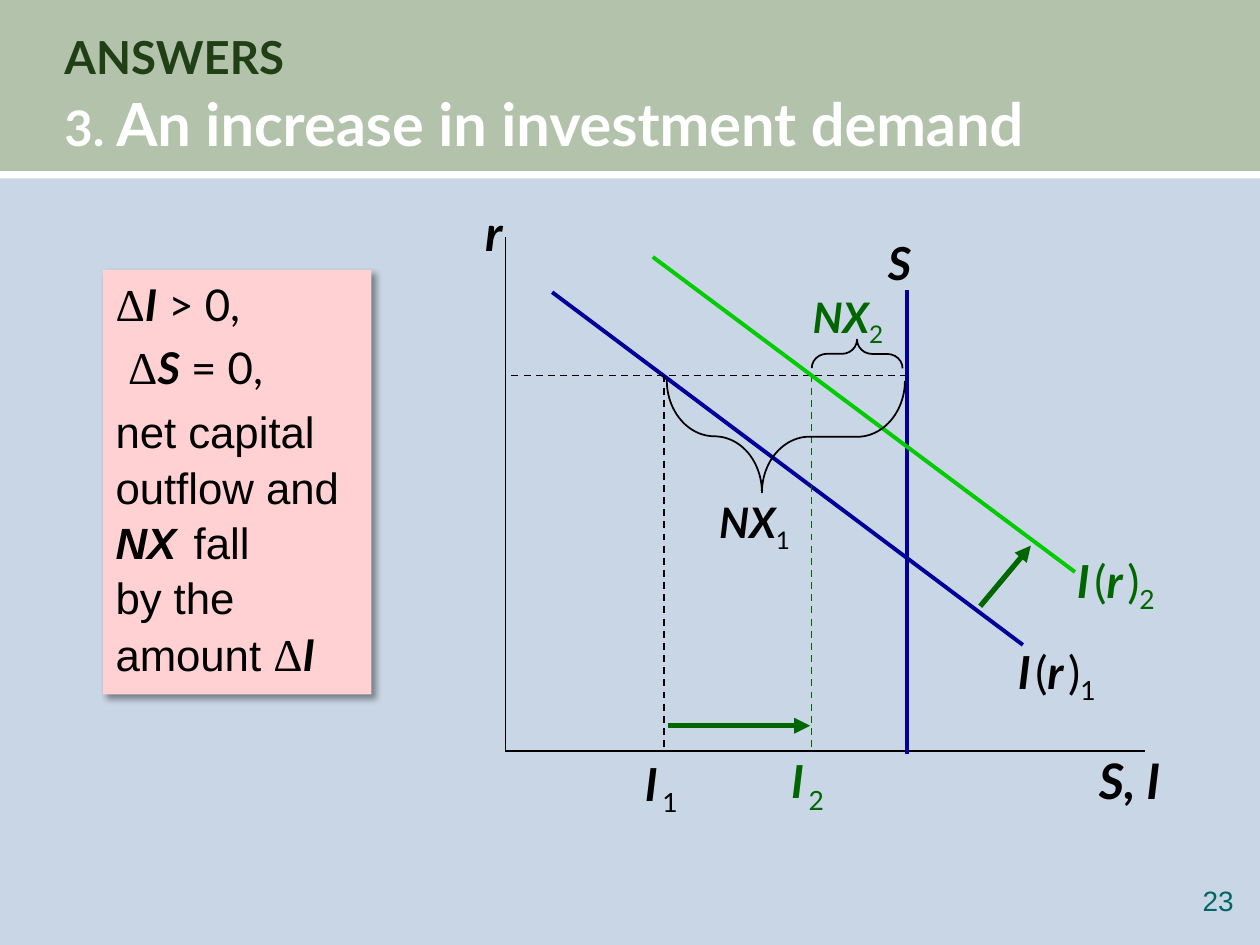
from lxml import etree
from pptx import Presentation
from pptx.dml.color import RGBColor
from pptx.enum.dml import MSO_LINE
from pptx.enum.shapes import MSO_CONNECTOR, MSO_SHAPE
from pptx.enum.text import MSO_ANCHOR, PP_ALIGN
from pptx.oxml import parse_xml
from pptx.oxml.ns import nsdecls, qn
from pptx.util import Cm, Pt

BLACK, WHITE, NAVY, GREEN, LIME = "000000", "FFFFFF", "000099", "006600", "00CC00"
rgb = RGBColor.from_string


def add_runs(p, runs, color=BLACK):
    """Each run is (text, size, style, font); style letters: b, i, s (subscript)."""
    for text, size, style, font in runs:
        if text == "\n":
            p.add_line_break()
            continue
        r = p.add_run()
        r.text = text
        r.font.size, r.font.name = Pt(size), font
        r.font.bold, r.font.italic = "b" in style, "i" in style
        r.font.color.rgb = rgb(color)
        if "s" in style:
            r.font._element.set("baseline", "-25000")


def add_text(x, y, w, h, runs, color=BLACK, align=PP_ALIGN.LEFT, insets=(0.25, 0.13, 0.25, 0.13)):
    tf = s.shapes.add_textbox(Cm(x), Cm(y), Cm(w), Cm(h)).text_frame
    tf.word_wrap = True
    tf.margin_left, tf.margin_top, tf.margin_right, tf.margin_bottom = map(Cm, insets)
    tf.paragraphs[0].alignment = align
    add_runs(tf.paragraphs[0], runs, color)
    return tf


prs = Presentation()
prs.slide_width, prs.slide_height = Cm(25.4), Cm(19.05)
s = prs.slides.add_slide(prs.slide_layouts[6])
s.background.fill.solid()
s.background.fill.fore_color.rgb = rgb("C9D6E5")

# Header band, white rule and pink answer box
boxes = []
for x, y, w, h, color in [(0, 0, 25.4, 3.55, "B3C2AA"), (0, 3.45, 25.4, 0.15, WHITE),
                          (2.08, 5.44, 5.41, 8.56, "FFD1D2")]:
    sp = s.shapes.add_shape(MSO_SHAPE.RECTANGLE, Cm(x), Cm(y), Cm(w), Cm(h))
    sp.shadow.inherit = False
    sp.fill.solid()
    sp.fill.fore_color.rgb = rgb(color)
    sp.line.fill.background()
    boxes.append(sp)

# Title and slide number
tf = add_text(1.3, 0.56, 22.91, 2.62, [("ANSWERS", 26, "b", "Lato")], "203F15", insets=(0,) * 4)
tf.vertical_anchor = MSO_ANCHOR.MIDDLE
p = tf.paragraphs[0]
p.line_spacing = 1.05
add_runs(p, [("\n", 26, "", "Lato"), ("3. ", 28, "b", "Lato"),
             ("An increase in investment demand", 34, "b", "Lato")], WHITE)
add_text(23.47, 17.81, 1.4, 0.81, [("23", 16, "", "Arial")], "006666", PP_ALIGN.RIGHT, (0,) * 4)

# Answer text with a soft shadow on its box
answer = boxes[-1]
answer._element.spPr.find(qn("a:effectLst")).append(parse_xml(
    f'<a:outerShdw {nsdecls("a")} blurRad="50800" dist="38100" dir="2700000" algn="tl" rotWithShape="0">'
    '<a:srgbClr val="000000"><a:alpha val="40000"/></a:srgbClr></a:outerShdw>'))
tf = answer.text_frame
tf.word_wrap = True
tf.vertical_anchor = MSO_ANCHOR.TOP
delta = ("Δ", 26, "", "Times New Roman")
var_i = ("I", 25, "bi", "Lato")
br = ("\n", 25, "", "Arial")
answer_lines = [
    [delta, var_i, (" > 0,", 25, "", "Lato")],
    [(" ", 26, "b", "Arial"), delta, ("S", 25, "bi", "Lato"), (" = 0,", 25, "", "Lato")],
    [("net capital outflow and ", 25, "", "Arial"), ("NX ", 25, "bi", "Arial"),
     (" ", 11, "", "Arial"), ("fall ", 25, "", "Arial"), br,
     ("by the ", 25, "", "Arial"), br, ("amount ", 25, "", "Arial"), delta, var_i],
]
for n, runs in enumerate(answer_lines):
    p = tf.paragraphs[0] if n == 0 else tf.add_paragraph()
    p.alignment = PP_ALIGN.LEFT
    if n:
        p.space_before = Pt(5)
    add_runs(p, runs)
p.line_spacing = 1.05

# Axes, guides, curves and shift arrows
x_axis, y_axis, x_i1, x_i2, x_s, rate = 15.14, 10.19, 13.39, 16.36, 18.29, 7.57
lines = [  # x1, y1, x2, y2, colour, width, kind
    (y_axis, 4.78, y_axis, x_axis, BLACK, 0.75, ""),
    (y_axis, x_axis, 23.09, x_axis, BLACK, 0.75, ""),
    (11.13, 5.89, 20.62, 13, NAVY, 2.25, ""),
    (19.76, 12.22, 20.78, 11, GREEN, 3, "arrow"),
    (x_s, rate, 10.26, rate, BLACK, 1, "dash"),
    (x_i1, rate, x_i1, x_axis, BLACK, 1, "dash"),
    (x_i2, rate, x_i2, x_axis, GREEN, 1, "dash"),
    (x_s, 15.19, x_s, 5.84, NAVY, 2.25, ""),
    (13.16, 5.18, 21.67, 11.53, LIME, 2.25, ""),
    (13.46, 14.63, 16.33, 14.63, GREEN, 3, "arrow"),
]
for x1, y1, x2, y2, color, width, kind in lines:
    c = s.shapes.add_connector(MSO_CONNECTOR.STRAIGHT, Cm(x1), Cm(y1), Cm(x2), Cm(y2))
    c.line.color.rgb = rgb(color)
    c.line.width = Pt(width)
    if kind == "dash":
        c.line.dash_style = MSO_LINE.DASH
    if kind == "arrow":
        etree.SubElement(c.line._get_or_add_ln(), qn("a:tailEnd"), type="triangle")
    etree.SubElement(c._element.spPr, qn("a:effectLst"))

# Braces for net exports: the second one points down
for x, y, w, h, adj, flip in [(16.99, 6.22, 0.58, 1.83, (0.525, 0.503), False),
                              (14.71, 6.4, 2.26, 4.8, (0.769, 0.599), True)]:
    sp = s.shapes.add_shape(MSO_SHAPE.LEFT_BRACE, Cm(x), Cm(y), Cm(w), Cm(h))
    sp.shadow.inherit = False
    sp.adjustments[0], sp.adjustments[1] = adj
    sp.rotation = 90.2
    if flip:
        sp._element.spPr.xfrm.set("flipH", "1")
    sp.fill.background()
    sp.line.color.rgb = rgb(BLACK)
    sp.line.width = Pt(1)

# Axis and supply labels
tight = (0.25, 0.13, 0, 0.13)
add_text(9.27, 3.96, 1.12, 1.45, [("r", 28, "bi", "Lato")], BLACK, PP_ALIGN.CENTER, tight)
add_text(21.49, 14.99, 2.31, 1.45, [("S, I", 28, "bi", "Lato")], BLACK, PP_ALIGN.CENTER, tight)
add_text(17.65, 4.6, 1.27, 1.35, [("S", 26, "bi", "Lato")])

# Numbered labels: net exports, investment level, investment curve
gap = (" ", 12, "bi", "Lato")
inv = ("I", 26, "bi", "Lato")
for n, color, nx_at, level_at, curve_at in [
        ("1", BLACK, (14.25, 9.88), (12.75, 15.11), (20.27, 12.85)),
        ("2", GREEN, (16.13, 5.74), (15.7, 15.06), (21.46, 11.02))]:
    sub = (n, 26, "s", "Lato")
    add_text(*nx_at, 2.16, 1.27, [("NX", 24, "bi", "Lato"), (n, 24, "s", "Lato")], color)
    add_text(*level_at, 1.47, 1.35, [inv, gap, sub], color)
    add_text(*curve_at, 3.1, 1.35, [inv, gap, ("(", 26, "", "Lato"), ("r", 26, "bi", "Lato"), gap,
                                    (")", 26, "", "Lato"), sub], color, insets=tight)

prs.save("out.pptx")
